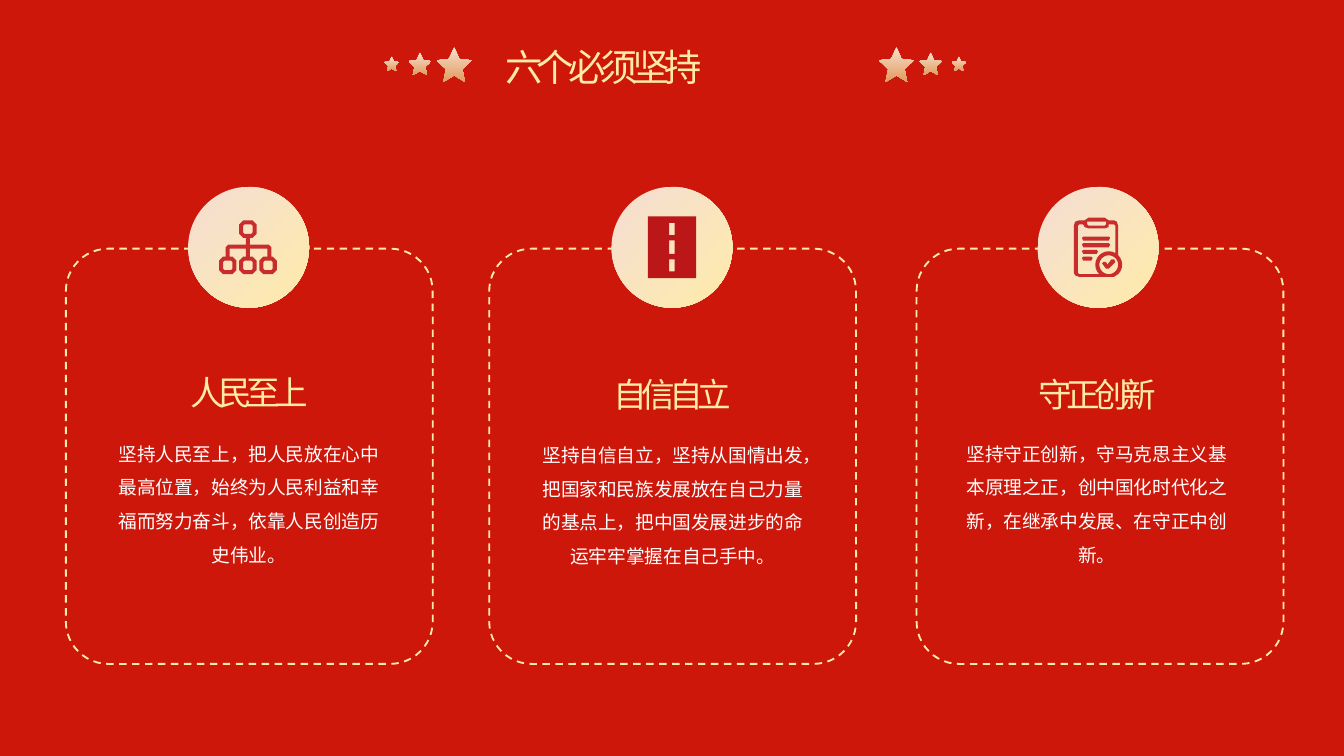
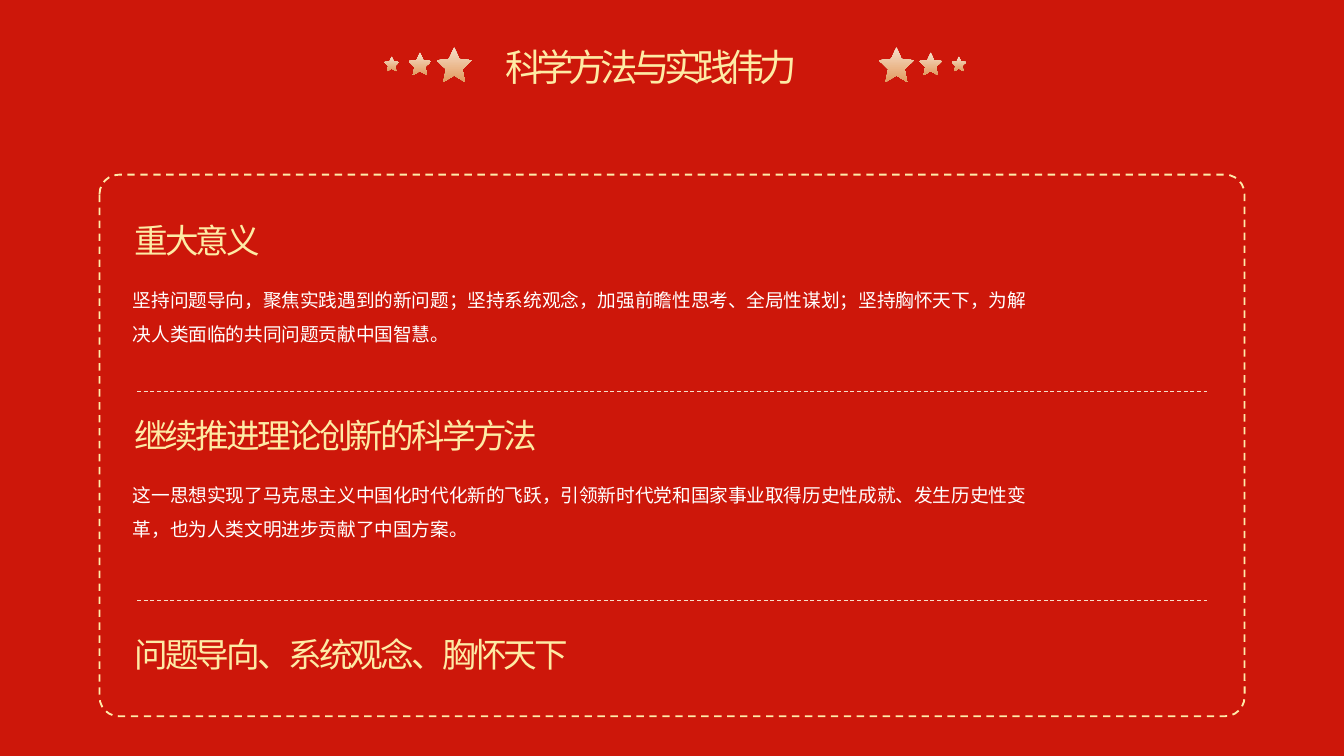
"""Build two red and gold slides: three principle cards and a panel of scientific methods."""
from dataclasses import dataclass
from math import cos, radians, sin

from lxml.etree import SubElement
from pptx import Presentation
from pptx.dml.color import RGBColor as RGB
from pptx.enum.dml import MSO_LINE_DASH_STYLE as DASH
from pptx.enum.shapes import MSO_CONNECTOR as CONNECTOR, MSO_SHAPE as SHAPE
from pptx.enum.text import MSO_AUTO_SIZE as AUTO, PP_ALIGN as ALIGN
from pptx.oxml.ns import qn
from pptx.util import Inches, Pt


@dataclass(frozen=True)
class Theme:
    font: str = "Noto Sans CJK SC"
    background: str = "CD170A"
    white: str = "FFFFFF"
    border: str = "FFEBA9"
    divider: str = "F6E0CB"
    icon: str = "C82C2D"
    road: str = "BB1718"
    star: tuple = ("F6E0CB", "E29B60")
    heading: tuple = ("FEEBA5", "E29B60")
    badge: tuple = ("F6E0CB", "FFEBA9")
    title_size: int = 20
    heading_size: int = 18
    body_size: int = 10


theme = Theme()


def paint_gradient(fill, colours, angle=270, start=0):
    fill.gradient()
    fill.gradient_angle = angle
    for stop, colour, position in zip(fill.gradient_stops, colours, (start, 1)):
        stop.color.rgb = RGB.from_string(colour)
        stop.position = position


def add_text(slide, text, left, top, width, height, size=theme.body_size,
             align=ALIGN.LEFT, spacing=None, tracking=None):
    frame = slide.shapes.add_textbox(
        Inches(left), Inches(top), Inches(width), Inches(height)).text_frame
    frame.word_wrap = True
    frame.auto_size = AUTO.SHAPE_TO_FIT_TEXT
    paragraph = frame.paragraphs[0]
    paragraph.alignment = align
    if spacing:
        paragraph.line_spacing = spacing
    run = paragraph.add_run()
    run.text = text
    run.font.size = Pt(size)
    if tracking:
        paint_gradient(run.font.fill, theme.heading)
    else:
        run.font.color.rgb = RGB.from_string(theme.white)
    run.font.name = theme.font
    properties = run.font._element
    SubElement(properties, qn("a:ea"), typeface=theme.font)
    if tracking:
        properties.set("spc", str(int(tracking * 100)))


deck = Presentation()
deck.slide_width, deck.slide_height = Inches(10), Inches(10) * 9 // 16
principles, methods = (deck.slides.add_slide(deck.slide_layouts[6]) for _ in range(2))

stars = [(3.25, 0.35, 0.26), (3.04, 0.39, 0.17), (2.86, 0.42, 0.11)]
mirror_width = 10.05
for slide, title in ((principles, "六个必须坚持"), (methods, "科学方法与实践伟力")):
    slide.background.fill.solid()
    slide.background.fill.fore_color.rgb = RGB.from_string(theme.background)
    for mirrored in (False, True):
        cluster = slide.shapes.add_group_shape()
        for left, top, size in stars:
            x = mirror_width - left - size if mirrored else left
            star = cluster.shapes.add_shape(
                SHAPE.STAR_5_POINT, Inches(x), Inches(top), Inches(size), Inches(size))
            star.shadow.inherit = False
            star.adjustments[0] = 0.236
            star.line.fill.background()
            paint_gradient(star.fill, theme.star)
    add_text(slide, title, 3.66, 0.28, 2.68, 0.44, size=theme.title_size,
             align=ALIGN.JUSTIFY, tracking=-3)

card_lefts = [0.49, 3.64, 6.82]
frames = [(principles, left, 1.85, 2.73, 3.09, 0.116) for left in card_lefts]
frames.append((methods, 0.74, 1.3, 8.52, 4.03, 0.036))
for slide, left, top, width, height, rounding in frames:
    border = slide.shapes.add_shape(
        SHAPE.ROUNDED_RECTANGLE, Inches(left), Inches(top), Inches(width), Inches(height))
    border.shadow.inherit = False
    border.adjustments[0] = rounding
    border.fill.background()
    border.line.color.rgb = RGB.from_string(theme.border)
    border.line.width = Pt(1)
    border.line.dash_style = DASH.DASH

cards = [
    ("人民至上", 1.4, 1.26, 2.72, 0.74, 3.16, 2.22,
     "坚持人民至上，把人民放在心中最高位置，始终为人民利益和幸福而努力奋斗，依靠人民创造历史伟业。"),
    ("自信自立", 4.55, 4.41, 2.73, 3.88, 3.17, 2.25,
     "坚持自信自立，坚持从国情出发，把国家和民族发展放在自己力量的基点上，把中国发展进步的命运牢牢掌握在自己手中。"),
    ("守正创新", 7.72, 7.57, 2.73, 7.06, 3.16, 2.2,
     "坚持守正创新，守马克思主义基本原理之正，创中国化时代化之新，在继承中发展、在守正中创新。"),
]
for heading, badge_left, heading_left, heading_top, body_left, body_top, body_width, body in cards:
    badge = principles.shapes.add_shape(
        SHAPE.OVAL, Inches(badge_left), Inches(1.39), Inches(0.9), Inches(0.9))
    badge.shadow.inherit = False
    badge.line.fill.background()
    paint_gradient(badge.fill, theme.badge, angle=315, start=0.2)
    add_text(principles, heading, heading_left, heading_top, 1.19, 0.4,
             size=theme.heading_size, align=ALIGN.CENTER, tracking=-3)
    add_text(principles, body, body_left, body_top, body_width, 1.36,
             align=ALIGN.CENTER, spacing=1.5)

hierarchy = [[
    (1.83, 1.77), (1.86, 1.77), (1.86, 1.82), (2, 1.82), (2.02, 1.84), (2.02, 1.91),
    (1.99, 1.91), (1.99, 1.85), (1.86, 1.85), (1.86, 1.91), (1.83, 1.91), (1.83, 1.85),
    (1.71, 1.85), (1.71, 1.91), (1.68, 1.91), (1.68, 1.84), (1.7, 1.82), (1.83, 1.82)]]
for left, top in ((1.78, 1.64), (1.63, 1.91), (1.78, 1.91), (1.93, 1.91)):
    for inset, corner in ((0, 0.03), (0.03, 0.01)):
        x1, y1 = left + inset, top + inset
        x2, y2 = left + 0.13 - inset, top + 0.13 - inset
        hierarchy.append([
            (x1 + corner, y1), (x2 - corner, y1), (x2, y1 + corner), (x2, y2 - corner),
            (x2 - corner, y2), (x1 + corner, y2), (x1, y2 - corner), (x1, y1 + corner)])

road = [[(x1, y1), (x2, y1), (x2, y2), (x1, y2)] for x1, y1, x2, y2 in (
    (4.82, 1.61, 5.18, 2.07), (4.98, 1.66, 5.02, 1.75),
    (4.98, 1.79, 5.02, 1.89), (4.98, 1.93, 5.02, 2.02))]

seal_rim, seal_hole, page_notch = (
    [(8.25 + radius * cos(radians(a)), 1.97 + radius * sin(radians(a))) for a in angles]
    for radius, angles in ((0.1, range(45, -46, -15)), (0.07, range(0, 360, 15)),
                           (0.1, range(300, 134, -15))))
clipboard = [
    [(8.32, 1.9), (8.32, 1.68), (8.31, 1.65), (8.29, 1.64), (8.25, 1.64), (8.22, 1.62),
     (8.1, 1.62), (8.07, 1.64), (8.03, 1.64), (8, 1.65), (7.99, 1.68), (7.99, 2.03),
     (8, 2.05), (8.03, 2.06), (8.29, 2.06), (8.32, 2.04)] + seal_rim,
    seal_hole,
    [(8.09, 1.65), (8.23, 1.65), (8.23, 1.67), (8.22, 1.68), (8.1, 1.68), (8.09, 1.67)],
    [(8.03, 2.04), (8.02, 2.03), (8.02, 1.68), (8.03, 1.67), (8.06, 1.67), (8.07, 1.69),
     (8.1, 1.7), (8.22, 1.7), (8.25, 1.69), (8.25, 1.67), (8.29, 1.67), (8.3, 1.68),
     (8.3, 1.88)] + page_notch,
]
page_lines = [
    [(8.06, y), (right - 0.01, y), (right, y + 0.01), (right - 0.01, y + 0.03),
     (8.06, y + 0.03), (8.05, y + 0.01)]
    for right, y in ((8.26, 1.76), (8.26, 1.81), (8.17, 1.86), (8.13, 1.91))]
check = [[(8.27, 1.93), (8.24, 1.97), (8.23, 1.95), (8.21, 1.95), (8.2, 1.96),
          (8.23, 2), (8.25, 2), (8.3, 1.95), (8.29, 1.93)]]

for outline, colour in ((hierarchy, theme.icon), (road, theme.road), (clipboard, theme.icon),
                        (page_lines, theme.icon), (check, theme.icon)):
    contours = [[(Inches(x), Inches(y)) for x, y in contour] for contour in outline]
    builder = principles.shapes.build_freeform(*contours[0][0])
    builder.add_line_segments(contours[0][1:], close=True)
    for contour in contours[1:]:
        builder.move_to(*contour[0])
        builder.add_line_segments(contour[1:], close=True)
    icon = builder.convert_to_shape()
    icon.shadow.inherit = False
    icon.fill.solid()
    icon.fill.fore_color.rgb = RGB.from_string(colour)
    icon.line.fill.background()

sections = [
    ("重大意义", 1.59, 3.41,
     "坚持问题导向，聚焦实践遇到的新问题；坚持系统观念，加强前瞻性思考、全局性谋划；坚持胸怀天下，为解决人类面临的共同问题贡献中国智慧。"),
    ("继续推进理论创新的科学方法", 3.04, 8.34,
     "这一思想实现了马克思主义中国化时代化新的飞跃，引领新时代党和国家事业取得历史性成就、发生历史性变革，也为人类文明进步贡献了中国方案。"),
    ("问题导向、系统观念、胸怀天下", 4.67, 8.39, None),
]
for heading, top, width, body in sections:
    add_text(methods, heading, 0.9, top, width, 0.4, size=theme.heading_size, tracking=-1.5)
    if body:
        add_text(methods, body, 0.89, top + 0.43, 6.91, 0.6, spacing=1.5)

for y in (2.91, 4.47):
    divider = methods.shapes.add_connector(
        CONNECTOR.STRAIGHT, Inches(1.02), Inches(y), Inches(8.98), Inches(y))
    divider.line.color.rgb = RGB.from_string(theme.divider)
    divider.line.width = Pt(0.5)
    divider.line.dash_style = DASH.DASH
    SubElement(divider._element.spPr, qn("a:effectLst"))

deck.save("out.pptx")
